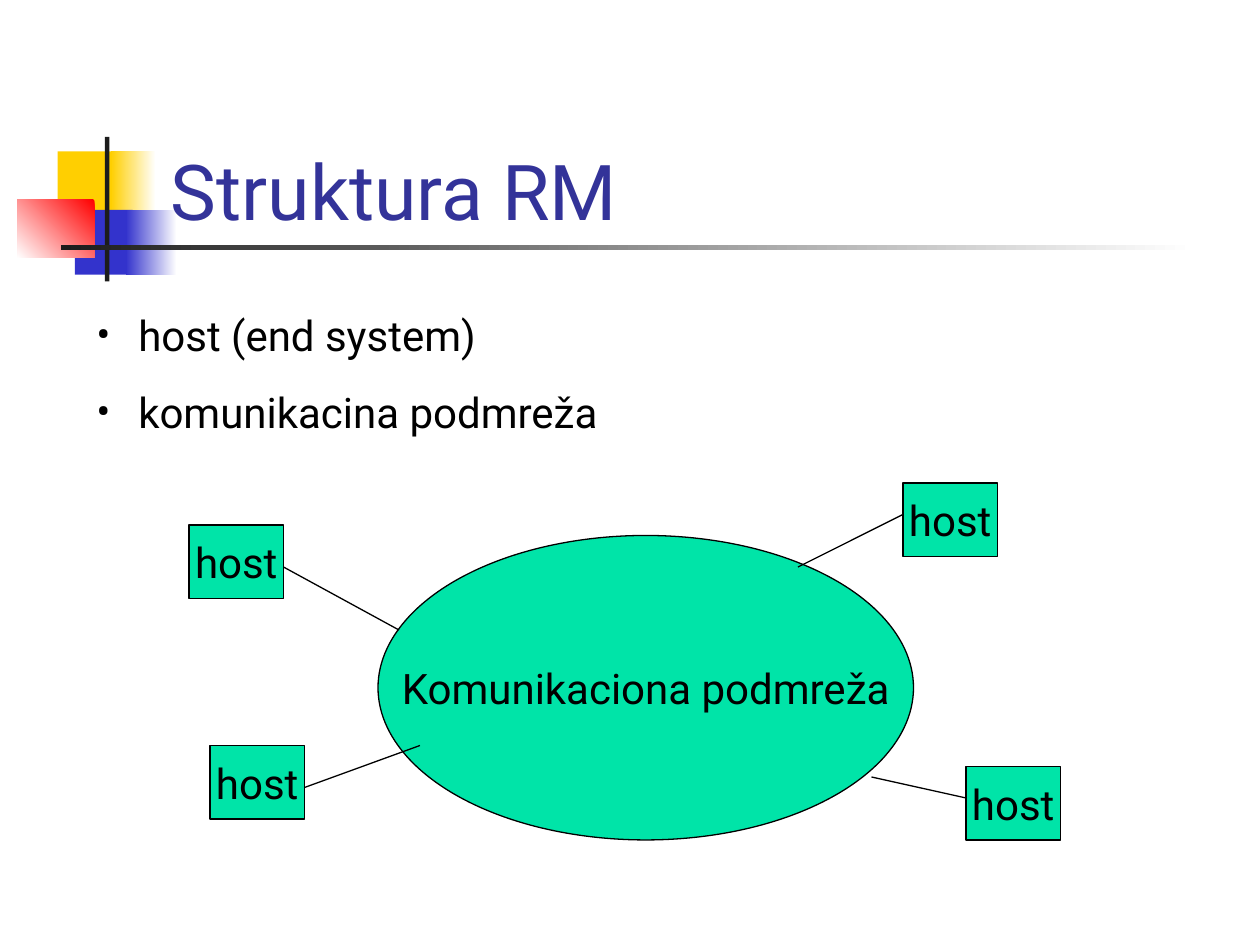
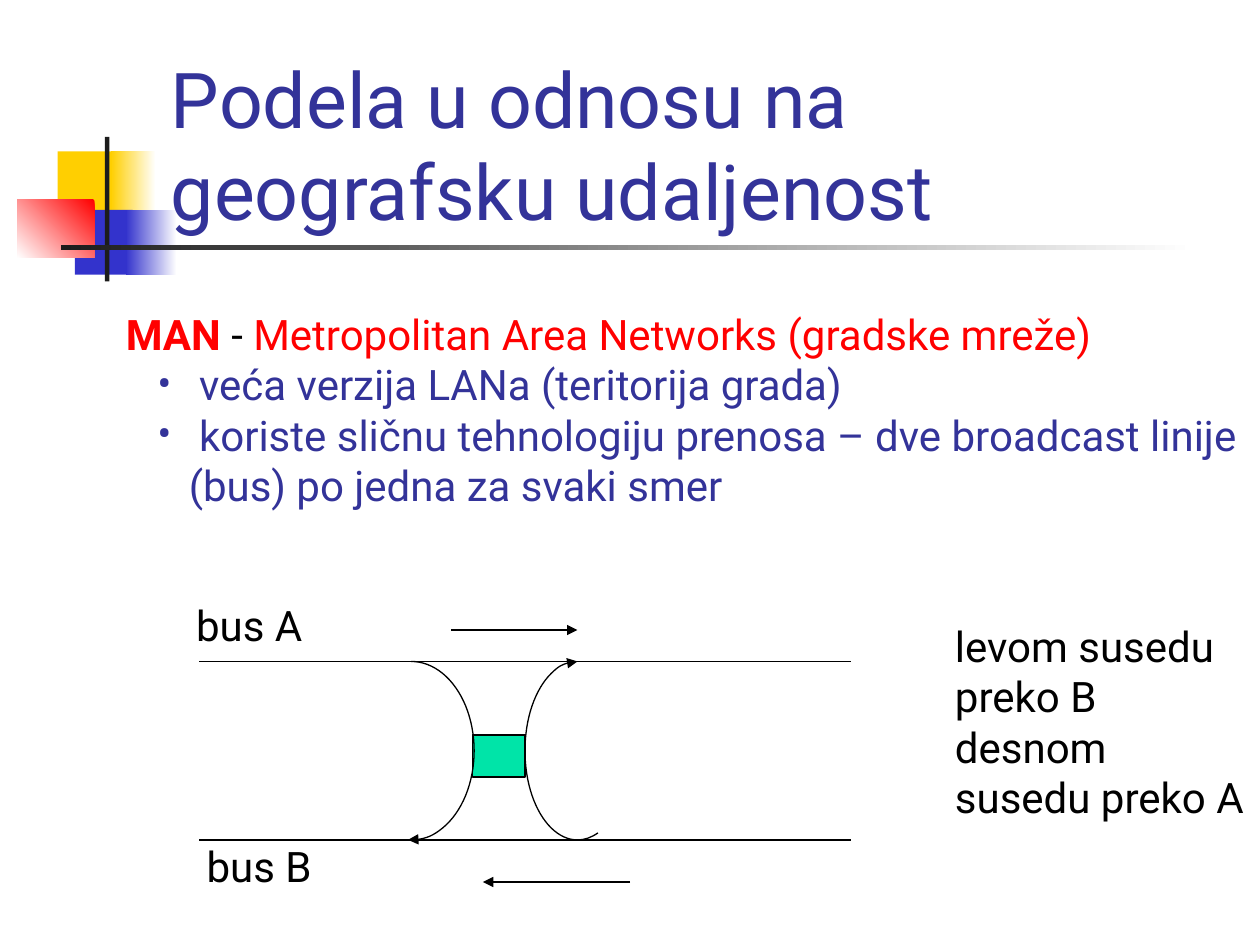
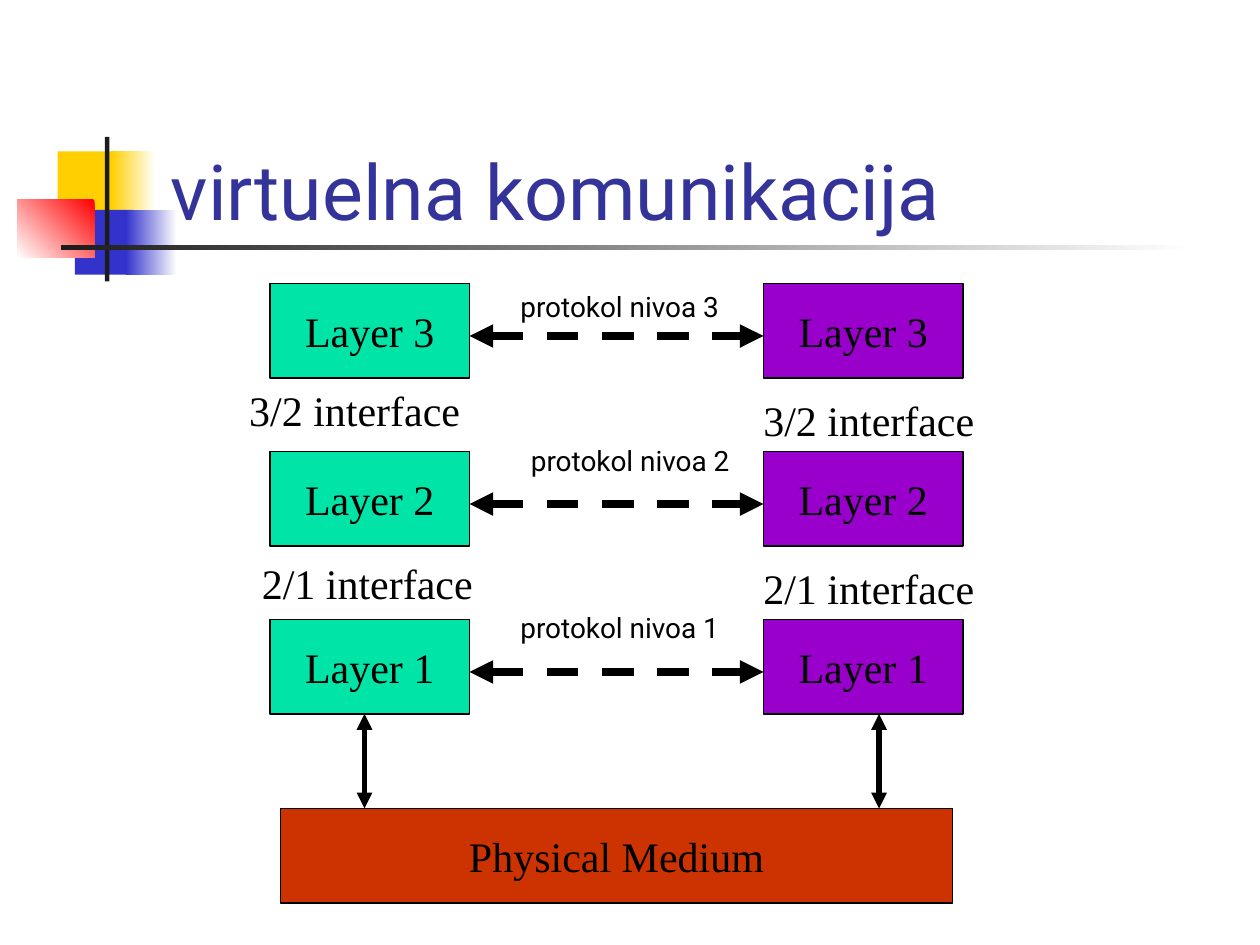
import pptx
import pptx.dml.color
import pptx.enum.dml
import pptx.enum.shapes
import pptx.enum.text
import pptx.oxml.ns
import pptx.util
from lxml import etree

Pt = pptx.util.Pt
SHAPE = pptx.enum.shapes.MSO_SHAPE
ANCHOR = pptx.enum.text.MSO_ANCHOR
ALIGN = pptx.enum.text.PP_ALIGN
AUTO = pptx.enum.text.MSO_AUTO_SIZE
qn = pptx.oxml.ns.qn

COLORS = {
    "white": "FFFFFF", "black": "000000", "ink": "1C1C1C", "title": "333399",
    "yellow": "FFCF01", "blue": "3333CC", "red": "FF0000",
    "green": "00E4A8", "purple": "9900CC", "rust": "CC3300",
}
SANS, SERIF = "Roboto", "Times New Roman"
THIN = 0.74


def rgb(name):
    return pptx.dml.color.RGBColor.from_string(COLORS[name])


def apply(obj, values):
    for name, value in values.items():
        setattr(obj, name, value)


def write(tf, paragraphs, size=24, font=SANS, align=ALIGN.LEFT, **frame):
    apply(tf, frame)
    for i, runs in enumerate(paragraphs):
        p = tf.paragraphs[0] if i == 0 else tf.add_paragraph()
        p.alignment = align
        for text, color, bold in runs:
            r = p.add_run()
            r.text = text
            apply(r.font, {"size": Pt(size), "name": font, "bold": bold})
            r.font.color.rgb = rgb(color)


def plain(text, color="black"):
    return [(text, color, False)]


def bullet(p, color, before=0):
    p.space_before = Pt(before)
    pPr = p._p.get_or_add_pPr()
    for name, value in {"marL": Pt(36), "indent": Pt(-18)}.items():
        pPr.set(name, str(value))
    clr = etree.SubElement(pPr, qn("a:buClr"))
    etree.SubElement(clr, qn("a:srgbClr"), val=COLORS[color])
    etree.SubElement(pPr, qn("a:buFont"), typeface=SANS)
    etree.SubElement(pPr, qn("a:buChar"), char="•")


def text_box(s, x, y, w, h, paragraphs, wrap=False, **style):
    sp = s.shapes.add_textbox(Pt(x), Pt(y), Pt(w), Pt(h))
    style = {"auto_size": AUTO.SHAPE_TO_FIT_TEXT, **style}
    write(sp.text_frame, paragraphs, word_wrap=wrap, **style)
    return sp.text_frame


def shape(s, kind, x, y, w, h, fill=None, line=None):
    sp = s.shapes.add_shape(kind, Pt(x), Pt(y), Pt(w), Pt(h))
    sp.shadow.inherit = False
    if fill:
        sp.fill.solid()
        sp.fill.fore_color.rgb = rgb(fill)
    else:
        sp.fill.background()
    if line:
        sp.line.color.rgb = rgb("black")
        sp.line.width = Pt(line)
    else:
        sp.line.fill.background()
    return sp


def label_shape(s, kind, x, y, w, h, fill, text, line=THIN, font=SANS):
    sp = shape(s, kind, x, y, w, h, fill, line)
    write(sp.text_frame, [plain(text)], font=font, align=ALIGN.CENTER,
          word_wrap=False, vertical_anchor=ANCHOR.MIDDLE)


def gradient(s, x, y, w, h, start, end, angle=180):
    sp = shape(s, SHAPE.RECTANGLE, x, y, w, h)
    sp.fill.gradient()
    sp.fill.gradient_angle = angle
    for stop, color, pos in zip(sp.fill.gradient_stops, (start, end), (0, 1)):
        stop.color.rgb = rgb(color)
        stop.position = pos


def arrow_ends(sp, ends):
    ln = sp.line._get_or_add_ln()
    for end in ends:
        etree.SubElement(ln, qn(f"a:{end}End"), type="triangle")


def line(s, x1, y1, x2, y2, width=THIN, ends=(), dash=None):
    c = s.shapes.add_connector(pptx.enum.shapes.MSO_CONNECTOR.STRAIGHT,
                               Pt(x1), Pt(y1), Pt(x2), Pt(y2))
    c.line.color.rgb = rgb("black")
    apply(c.line, {"width": Pt(width), "dash_style": dash})
    arrow_ends(c, ends)
    etree.SubElement(c._element.spPr, qn("a:effectLst"))


def arc(s, x, y, w, h, start, end):
    sp = shape(s, SHAPE.ARC, x, y, w, h, line=THIN)
    for i, degrees in enumerate((start, end)):
        sp.adjustments[i] = degrees * 0.6
    arrow_ends(sp, ["tail"])


def ornament(s, x, y):
    shape(s, SHAPE.RECTANGLE, x + 23, y + 8.5, 34.5, 37.5, "yellow")
    gradient(s, x + 53.5, y + 8.5, 25.5, 37.5, "white", "yellow")
    shape(s, SHAPE.RECTANGLE, x + 32.8, y + 42, 33, 37, "blue")
    gradient(s, x + 62, y + 42, 29, 37, "white", "blue")
    gradient(s, x, y + 36, 44, 33.3, "red", "white", 225)
    shape(s, SHAPE.RECTANGLE, x + 50, y + 0.2, 2.5, 82.6, "ink")
    gradient(s, x + 25, y + 62, 648, 2.8, "white", "ink")


def titled_slide(prs, title):
    s = prs.slides.add_slide(prs.slide_layouts[6])
    ornament(s, 10, 78)
    text_box(s, 90.6, 48.5, 613.5, 90, [plain(title, "title")], wrap=True,
             size=44, auto_size=AUTO.NONE, vertical_anchor=ANCHOR.BOTTOM)
    return s


def subnet_diagram(s, x, y):
    label_shape(s, SHAPE.OVAL, x + 108, y + 30, 306, 174, "green",
                "Komunikaciona podmreža")
    host_w, host_h = 54, 42
    hosts = [
        (0, 24, host_w, 24, 120, 84),
        (12, 150, host_w, 24, 132, 150),
        (444, 162, 0, 18, 390, 168),
        (408, 0, 0, 18, 348, 48),
    ]
    for hx, hy, port_x, port_y, to_x, to_y in hosts:
        label_shape(s, SHAPE.RECTANGLE, x + hx, y + hy, host_w, host_h,
                    "green", "host")
        line(s, x + hx + port_x, y + hy + port_y, x + to_x, y + to_y)


def bus_diagram(s, x, y, w, h):
    top, bottom = y + 18, y + h - 24
    for bus_y in (top, bottom):
        line(s, x, bus_y, x + w, bus_y)
    line(s, x + 144, y, x + 216, y, ends=["tail"])
    line(s, x + 246, y + h, x + 162, y + h, ends=["tail"])
    shape(s, SHAPE.RECTANGLE, x + 156, y + 60, 30, 24, "green", THIN)
    arc(s, x + 186, top, 60, bottom - top, 76, 270)
    arc(s, x + 85, top, 72, bottom - top, 270, 92)
    text_box(s, x - 9, y - 21, 77, 36, [plain("bus A")])
    text_box(s, x - 3, bottom - 3.5, 77, 36, [plain("bus B")])


def layer_stack(s, x, y, color, notes):
    for i in range(3):
        label_shape(s, SHAPE.RECTANGLE, x, y + 96 * i, 114, 54, color,
                    f"Layer {3 - i}", 1, SERIF)
    for i, (dx, dy) in enumerate(notes):
        text_box(s, x + dx, y + dy, 140, 36,
                 [plain(f"{3 - i}/{2 - i} interface")], wrap=True, font=SERIF)


def protocol_diagram(s, x, y):
    right = x + 282
    layer_stack(s, x, y, "green", [(-19, 54), (-11.8, 152.8)])
    layer_stack(s, right, y, "purple", [(-7.2, 59.8), (-7.2, 156.2)])
    label_shape(s, SHAPE.RECTANGLE, x + 6, y + 300, 384, 54, "rust",
                "Physical Medium", 1, SERIF)
    both = ("head", "tail")
    for link_x in (x + 54, x + 348):
        line(s, link_x, y + 246, link_x, y + 300, 3, both)
    for i, (dx, dy) in enumerate([(136, 0), (142, 88), (136, 183.6)]):
        link_y = y + 30 + 96 * i
        line(s, x + 114, link_y, right, link_y, 4.5, both,
             pptx.enum.dml.MSO_LINE.DASH)
        text_box(s, x + dx, y + dy, 136, 26.6,
                 [plain(f"protokol nivoa {3 - i}")], size=16)


def structure_slide(prs):
    s = titled_slide(prs, "Struktura RM")
    subnet_diagram(s, 108, 276)
    tf = text_box(s, 30, 173.5, 588, 80, [
        plain(" host (end system)"), plain(" komunikacina podmreža")], wrap=True)
    for p in tf.paragraphs:
        bullet(p, "black", 15)


def man_slide(prs):
    s = titled_slide(prs, "Podela u odnosu na geografsku udaljenost")
    tf = text_box(s, 64.8, 172.8, 655.2, 122.4, [
        [("MAN", "red", True), (" - ", "black", False),
         ("Metropolitan Area Networks (gradske mreže)", "red", False)],
        plain(" veća verzija LANa (teritorija grada)", "title"),
        plain(" koriste sličnu tehnologiju prenosa – dve broadcast linije "
              "(bus) po jedna za svaki smer", "title"),
    ], wrap=True)
    for p in tf.paragraphs[1:]:
        bullet(p, "title")
    bus_diagram(s, 114, 360, 372, 144)
    text_box(s, 538.6, 351, 181.4, 151.2, [
        plain("levom susedu preko B"), plain("desnom susedu preko A")], wrap=True)


def protocol_slide(prs):
    s = titled_slide(prs, "virtuelna komunikacija")
    protocol_diagram(s, 154.3, 162)


prs = pptx.Presentation()
apply(prs, {"slide_width": Pt(720), "slide_height": Pt(540)})
for build in (structure_slide, man_slide, protocol_slide):
    build(prs)
prs.save("out.pptx")
